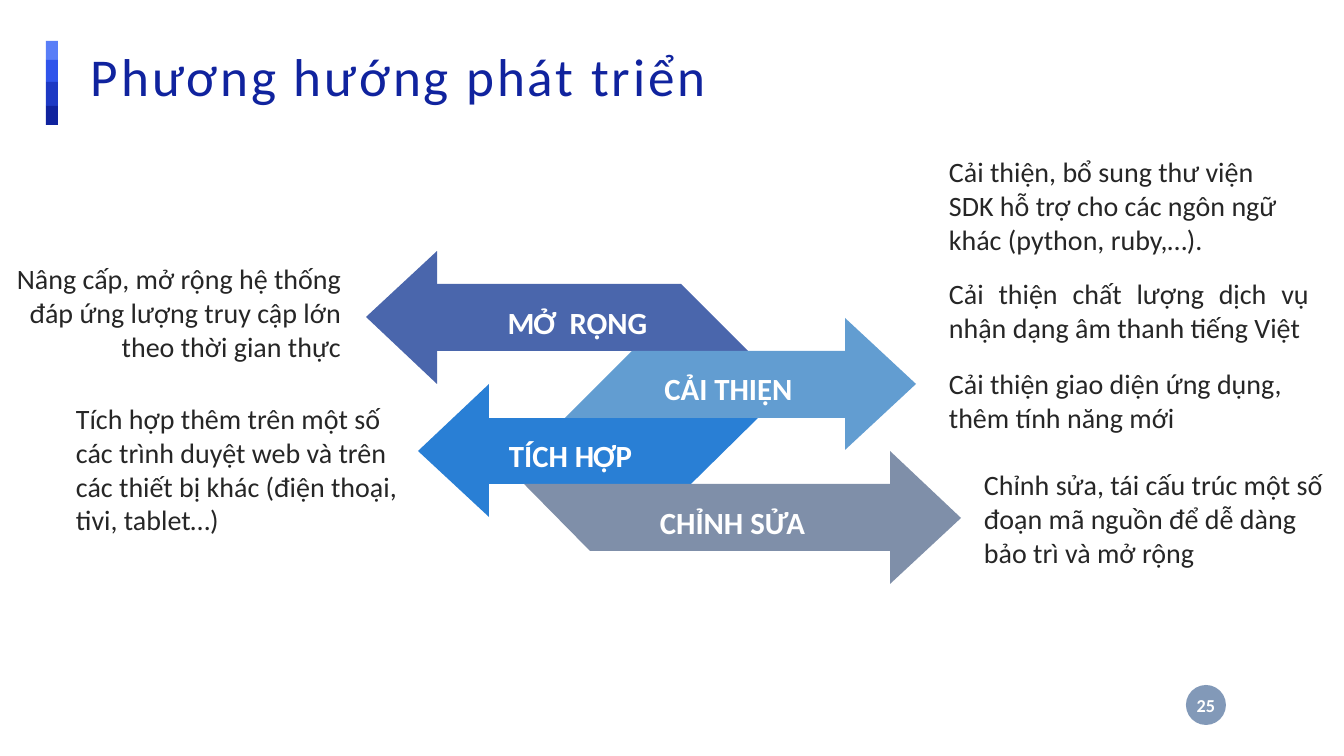
import pptx
import pptx.util
import pptx.dml.color
import pptx.enum.shapes
import pptx.enum.text
import pptx.oxml.ns
import lxml.etree

Shape = pptx.enum.shapes.MSO_SHAPE
Align = pptx.enum.text.PP_ALIGN
Anchor = pptx.enum.text.MSO_ANCHOR
Fit = pptx.enum.text.MSO_AUTO_SIZE


class Theme:
    font = "Calibri"
    navy, ink, white, badge = "10239E", "262626", "FFFFFF", "4E6F9B"
    title, label, body, page = 38, 22, 20, 13


TITLE = "Phương hướng phát triển"
PAGE = "25"

# top, height, colour
BARS = [(41, 19, "597EF7"), (60, 22, "2F54EB"), (82, 24, "1D39C4"), (106, 19, Theme.navy)]

# label, label left, tip, far end at top, far end at bottom, colour
ARROWS = [
    ("MỞ  RỘNG", 454, 366, 681, 748, "4A66AC"),
    ("CẢI THIỆN", 605, 916, 632, 565, "629DD1"),
    ("TÍCH HỢP", 447, 418, 758, 691, "297FD5"),
    ("CHỈNH SỬA", 609, 961, 524, 590, "7F8FA9"),
]

# text, (left, top, width, height), alignment
NOTES = [
    ("Cải thiện, bổ sung thư viện SDK hỗ trợ cho các ngôn ngữ khác (python, ruby,…).",
     (939, 150, 368, 112), Align.LEFT),
    ("Cải thiện chất lượng dịch vụ nhận dạng âm thanh tiếng Việt",
     (939, 272, 380, 78), Align.JUSTIFY),
    ("Cải thiện giao diện ứng dụng, thêm tính năng mới",
     (939, 362, 353, 78), Align.JUSTIFY),
    ("Chỉnh sửa, tái cấu trúc một số đoạn mã nguồn để dễ dàng bảo trì và mở rộng",
     (974, 463, 368, 112), Align.LEFT),
    ("Nâng cấp, mở rộng hệ thống đáp ứng lượng truy cập lớn theo thời gian thực",
     (0, 257, 351, 112), Align.RIGHT),
    ("Tích hợp thêm trên một số các trình duyệt web và trên các thiết bị khác "
     "(điện thoại, tivi, tablet…)",
     (66, 397, 365, 146), Align.LEFT),
]

SCALE = 914400 / 100.8
STACK_TOP, STACK_END, FLARE, HEAD = 284, 551, 33, 71
ROW = (STACK_END - STACK_TOP) / len(ARROWS)


def px(*nums):
    return [pptx.util.Emu(round(n * SCALE)) for n in nums]


def rgb(code):
    return pptx.dml.color.RGBColor.from_string(code)


def paint(shape, color):
    shape.shadow.inherit = False
    shape.fill.solid()
    shape.fill.fore_color.rgb = rgb(color)
    shape.line.fill.background()


def write(shape, text, size, color, align, bold=False, space=None):
    frame = shape.text_frame
    frame.word_wrap = True
    frame.text = text
    para = frame.paragraphs[0]
    para.alignment = align
    para.line_spacing = space
    para.font.name = Theme.font
    para.font.size = pptx.util.Pt(size)
    para.font.bold = bold
    para.font.color.rgb = rgb(color)
    return frame


def add_title(slide):
    title = slide.shapes.title
    title.left, title.top, title.width, title.height = px(81, 41, 932, 84)
    frame = write(title, TITLE, Theme.title, Theme.navy, Align.LEFT, space=0.9)
    frame.auto_size = Fit.NONE
    frame.vertical_anchor = Anchor.TOP
    frame.margin_left, frame.margin_top, frame.margin_right, frame.margin_bottom = px(10, 10, 10, 10)
    # letter spacing, in hundredths of a point
    frame.paragraphs[0].runs[0].font._element.set("spc", "200")


def add_bars(slide):
    for top, height, color in BARS:
        paint(slide.shapes.add_shape(Shape.RECTANGLE, *px(46, top, 12, height)), color)


def add_outline(slide, dots, color):
    pen = slide.shapes.build_freeform(*dots[0], scale=SCALE)
    pen.add_line_segments(dots[1:], close=True)
    paint(pen.convert_to_shape(), color)


def add_arrow(slide, row, label, left, tip, upper, lower, color):
    """Draw a slanted band, the head of its arrow, and its label."""
    top = STACK_TOP + row * ROW
    bottom = top + ROW
    neck = tip + HEAD if tip < upper else tip - HEAD
    band = [(upper, top), (neck, top), (neck, bottom), (lower, bottom)]
    head = [(neck, top - FLARE), (tip, (top + bottom) / 2), (neck, bottom + FLARE)]
    for dots in (band, head):
        add_outline(slide, dots, color)
    box = slide.shapes.add_textbox(*px(left, top + 7, 247, 52))
    write(box, label, Theme.label, Theme.white, Align.CENTER, bold=True, space=1.2)


def add_badge(slide):
    badge = slide.shapes.add_shape(Shape.OVAL, *px(1186, 685, 40, 40))
    paint(badge, Theme.badge)
    tint = badge._element.spPr.find(".//" + pptx.oxml.ns.qn("a:srgbClr"))
    lxml.etree.SubElement(tint, pptx.oxml.ns.qn("a:alpha"), val="70000")
    frame = write(badge, PAGE, Theme.page, Theme.white, Align.CENTER, bold=True)
    frame.vertical_anchor = Anchor.MIDDLE
    frame.margin_left, frame.margin_right = px(2, 2)


def main():
    deck = pptx.Presentation()
    deck.slide_width, deck.slide_height = px(1344, 756)
    slide = deck.slides.add_slide(deck.slide_layouts[5])
    add_title(slide)
    add_bars(slide)
    for row, arrow in enumerate(ARROWS):
        add_arrow(slide, row, *arrow)
    for text, place, align in NOTES:
        box = slide.shapes.add_textbox(*px(*place))
        write(box, text, Theme.body, Theme.ink, align)
    add_badge(slide)
    deck.save("out.pptx")


if __name__ == "__main__":
    main()
